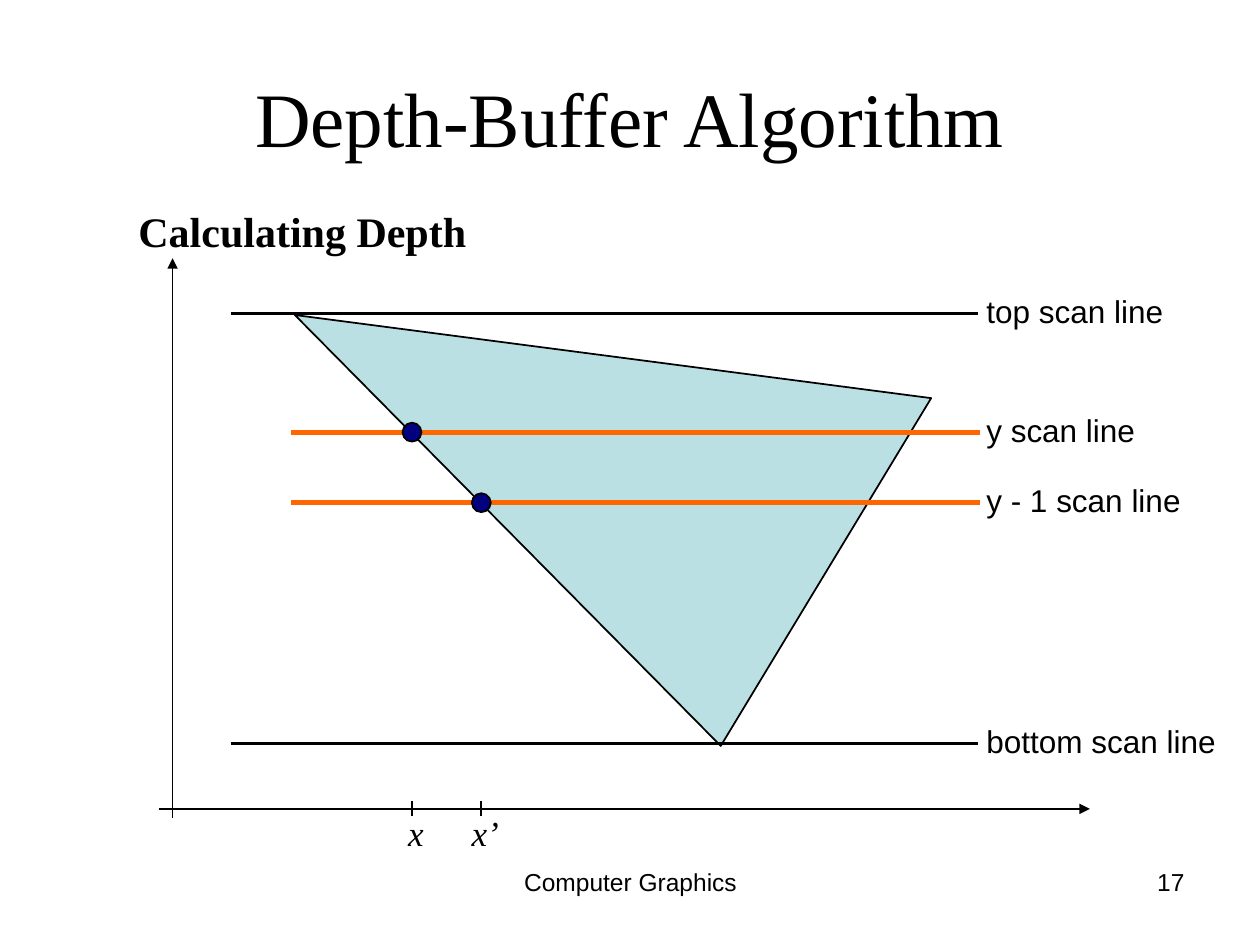
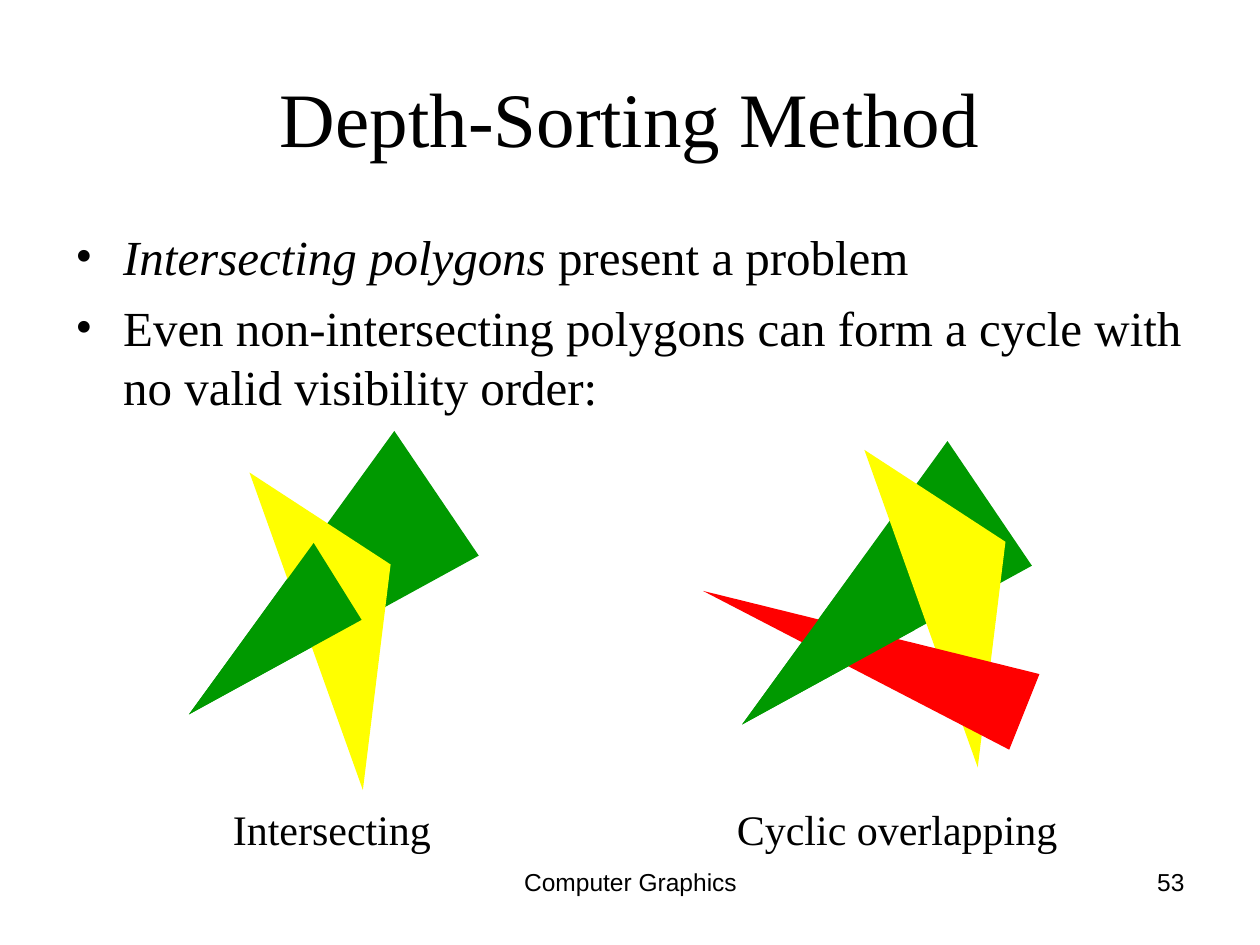
from lxml.etree import SubElement
from pptx import Presentation
from pptx.dml.color import RGBColor
from pptx.enum.shapes import MSO_CONNECTOR, MSO_SHAPE
from pptx.enum.text import MSO_ANCHOR, MSO_AUTO_SIZE, PP_ALIGN
from pptx.oxml.ns import qn
from pptx.util import Inches, Pt

BLACK = RGBColor(0x00, 0x00, 0x00)
PALE_BLUE = RGBColor(0xBB, 0xE0, 0xE3)
NAVY = RGBColor(0x00, 0x00, 0x80)
ORANGE = RGBColor(0xFF, 0x66, 0x00)
GREEN = RGBColor(0x00, 0x99, 0x00)
YELLOW = RGBColor(0xFF, 0xFF, 0x00)
RED = RGBColor(0xFF, 0x00, 0x00)
SERIF, SANS = "Times New Roman", "Arial"
SLIDE_WIDTH, SLIDE_HEIGHT = 10, 7.5
MARGIN = SLIDE_WIDTH / 20
CONTENT_WIDTH = SLIDE_WIDTH - 2 * MARGIN
FOOTER = "Computer Graphics"
FOOTER_TOP, FOOTER_HEIGHT = 6.83, 0.52

# Depth-buffer diagram: label, height on the slide, label width, left, right, colour, weight
BLACK_SCAN = (1.83, 7.76, BLACK, 1.75)
ORANGE_SCAN = (2.31, 7.78, ORANGE, 3)
SCAN_LINES = [
    ("top scan line", 2.49, 1.62, *BLACK_SCAN),
    ("bottom scan line", 5.9, 2.04, *BLACK_SCAN),
    ("y scan line", 3.43, 1.4, *ORANGE_SCAN),
    ("y - 1 scan line", 3.99, 1.76, *ORANGE_SCAN),
]
LABEL_LEFT = 7.73
SURFACE = [(2.34, 2.5), (5.72, 5.92), (7.39, 3.16)]
# Crossing points: axis label, x, y, label width
CROSSINGS = [("x", 3.27, 3.43, 0.34), ("x’", 3.82, 3.99, 0.43)]
DOT = 0.15
ORIGIN = (1.37, 6.42)
AXES = [((ORIGIN[0], 6.49), (ORIGIN[0], 2.05)), ((1.26, ORIGIN[1]), (8.65, ORIGIN[1]))]

# Depth-sorting content: each bullet is a list of (text, italic) runs
BULLETS = [
    [("Intersecting polygons", True), (" present a problem", False)],
    [("Even non-intersecting polygons can form a cycle with no valid visibility order:", False)],
]
# Triangle outlines, measured from the top left corner of each
LONG = [(1.63, 0), (2.3, 0.99), (0, 2.25)]
UPRIGHT = [(0, 0), (1.12, 0.73), (0.9, 2.52)]
FLAT = [(2.67, 0.66), (2.43, 1.26), (0, 0)]
TIP = [(0, 1.36), (0.99, 0), (1.37, 0.61)]
# Caption, its left and width, then triangles from back to front
FIGURES = [
    ("Cyclic overlapping", 5.75, 2.76, [
        (LONG, 5.89, 3.5, GREEN), (UPRIGHT, 6.86, 3.57, YELLOW),
        (FLAT, 5.58, 4.69, RED), (TIP, 5.89, 4.39, GREEN)]),
    ("Intersecting", 1.75, 1.79, [
        (LONG, 1.5, 3.42, GREEN), (UPRIGHT, 1.98, 3.75, YELLOW),
        (TIP, 1.5, 4.31, GREEN)]),
]
CAPTION_TOP = 6.33


def add_text(slide, text, left, top, width, height, *, size, font=SERIF, bold=False,
             align=PP_ALIGN.LEFT, anchor=MSO_ANCHOR.TOP, wrap=False, italic=False,
             bullet=False, space=0):
    """Text is a string, or a list of paragraphs made of (text, italic) runs."""
    box = slide.shapes.add_textbox(Inches(left), Inches(top), Inches(width), Inches(height))
    frame = box.text_frame
    frame.word_wrap = wrap
    frame.auto_size = MSO_AUTO_SIZE.NONE if wrap else MSO_AUTO_SIZE.SHAPE_TO_FIT_TEXT
    frame.vertical_anchor = anchor
    paragraphs = [[(text, italic)]] if isinstance(text, str) else text
    for index, runs in enumerate(paragraphs):
        paragraph = frame.add_paragraph() if index else frame.paragraphs[0]
        paragraph.alignment = align
        if index:
            paragraph.space_before = Pt(space)
        if bullet:
            properties = paragraph._p.get_or_add_pPr()
            properties.set("marL", str(Inches(0.38)))
            properties.set("indent", str(-Inches(0.38)))
            SubElement(properties, qn("a:buFont"), typeface=font)
            SubElement(properties, qn("a:buChar"), char="•")
        for run_text, run_italic in runs:
            run = paragraph.add_run()
            run.text = run_text
            run.font.name, run.font.size = font, Pt(size)
            run.font.bold, run.font.italic = bold, run_italic
            run.font.color.rgb = BLACK


def add_line(slide, start, end, color=BLACK, weight=1, arrow=False):
    line = slide.shapes.add_connector(
        MSO_CONNECTOR.STRAIGHT, *(Inches(value) for value in (*start, *end)))
    line.line.color.rgb = color
    line.line.width = Pt(weight)
    if arrow:
        SubElement(line.line._get_or_add_ln(), qn("a:tailEnd"), type="triangle")
    SubElement(line._element.spPr, qn("a:effectLst"))


def paint(shape, fill, outlined):
    shape.shadow.inherit = False
    shape.fill.solid()
    shape.fill.fore_color.rgb = fill
    if outlined:
        shape.line.color.rgb = BLACK
        shape.line.width = Pt(1)
    else:
        shape.line.fill.background()


def add_polygon(slide, points, fill, left=0, top=0, outlined=False):
    corners = [(Inches(left + x), Inches(top + y)) for x, y in points]
    builder = slide.shapes.build_freeform(*corners[0])
    builder.add_line_segments(corners[1:], close=True)
    paint(builder.convert_to_shape(), fill, outlined)


def add_slide(presentation, title, number):
    """Blank slide with the shared title, footer and slide number."""
    slide = presentation.slides.add_slide(presentation.slide_layouts[6])
    add_text(slide, title, MARGIN, 0.3, CONTENT_WIDTH, 1.25, size=44,
             align=PP_ALIGN.CENTER, anchor=MSO_ANCHOR.MIDDLE, wrap=True)
    for text, left, width, align in [(FOOTER, 3.42, 3.17, PP_ALIGN.CENTER),
                                     (str(number), 7.17, 2.33, PP_ALIGN.RIGHT)]:
        add_text(slide, text, left, FOOTER_TOP, width, FOOTER_HEIGHT, size=14,
                 font=SANS, align=align, wrap=True)
    return slide


def build_depth_buffer(presentation):
    slide = add_slide(presentation, "Depth-Buffer Algorithm", 17)
    add_text(slide, "Calculating Depth", 1, 1.58, 2.82, 0.5, size=24, bold=True)
    add_polygon(slide, SURFACE, PALE_BLUE, outlined=True)
    # Scan lines with their labels
    for label, y, width, left, right, color, weight in SCAN_LINES:
        add_line(slide, (left, y), (right, y), color, weight)
        add_text(slide, label, LABEL_LEFT, y - 0.22, width, 0.4, size=18, font=SANS)
    for start, end in AXES:
        add_line(slide, start, end, arrow=True)
    # Crossing points with ticks on the horizontal axis
    for label, x, y, width in CROSSINGS:
        dot = slide.shapes.add_shape(MSO_SHAPE.OVAL, Inches(x - DOT / 2), Inches(y - DOT / 2),
                                     Inches(DOT), Inches(DOT))
        paint(dot, NAVY, outlined=True)
        add_line(slide, (x, ORIGIN[1] + 0.06), (x, ORIGIN[1] - 0.06))
        add_text(slide, label, x - width / 2 + 0.04, 6.39, width, 0.44, size=20, italic=True)


def build_depth_sorting(presentation):
    slide = add_slide(presentation, "Depth-Sorting Method", 53)
    add_text(slide, BULLETS, MARGIN, 1.75, CONTENT_WIDTH, 4.95, size=28,
             wrap=True, bullet=True, space=7)
    for caption, caption_left, caption_width, triangles in FIGURES:
        for outline, left, top, fill in triangles:
            add_polygon(slide, outline, fill, left, top)
        add_text(slide, caption, caption_left, CAPTION_TOP, caption_width, 0.5, size=24)


def main():
    presentation = Presentation()
    presentation.slide_width = Inches(SLIDE_WIDTH)
    presentation.slide_height = Inches(SLIDE_HEIGHT)
    build_depth_buffer(presentation)
    build_depth_sorting(presentation)
    presentation.save("out.pptx")


if __name__ == "__main__":
    main()
